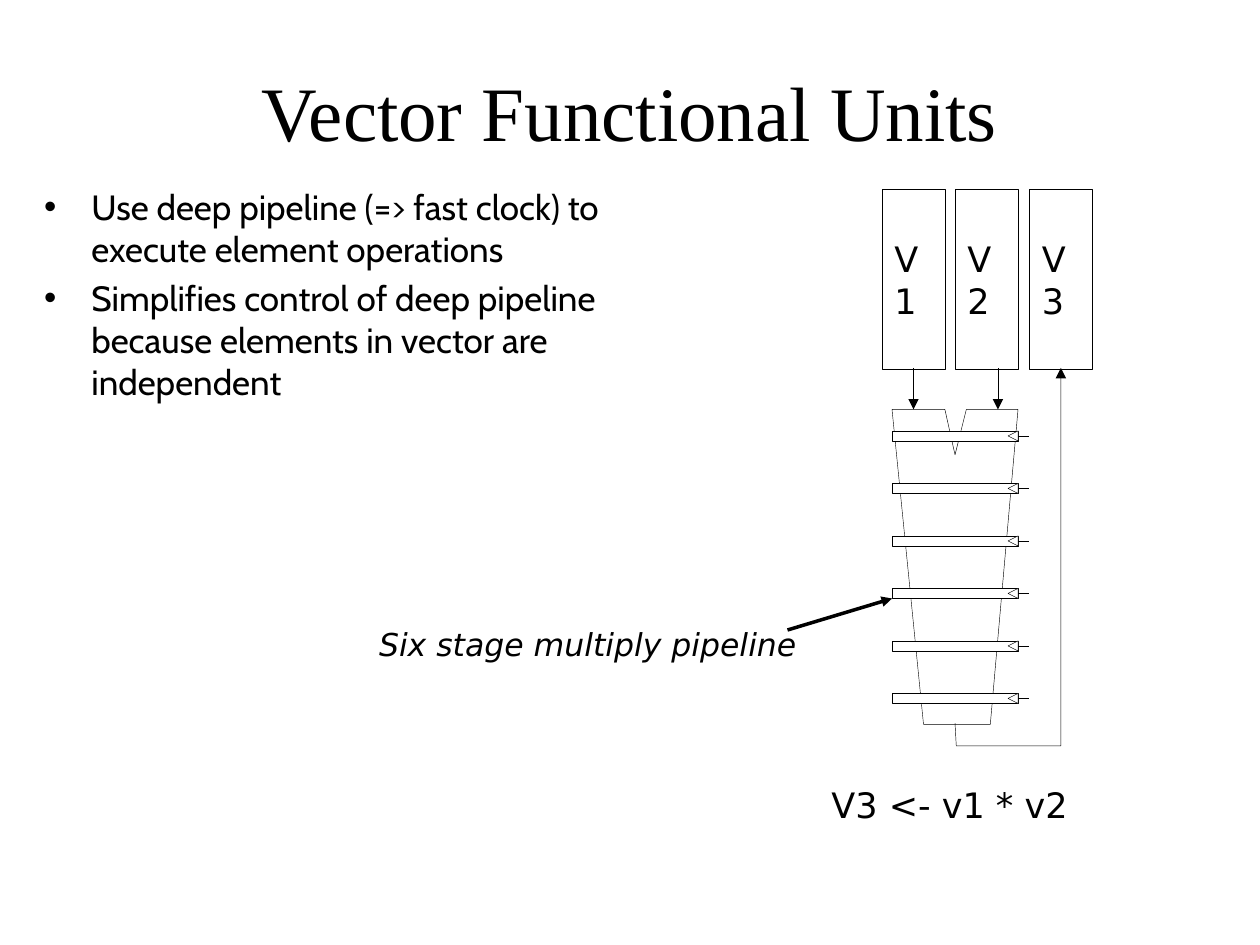
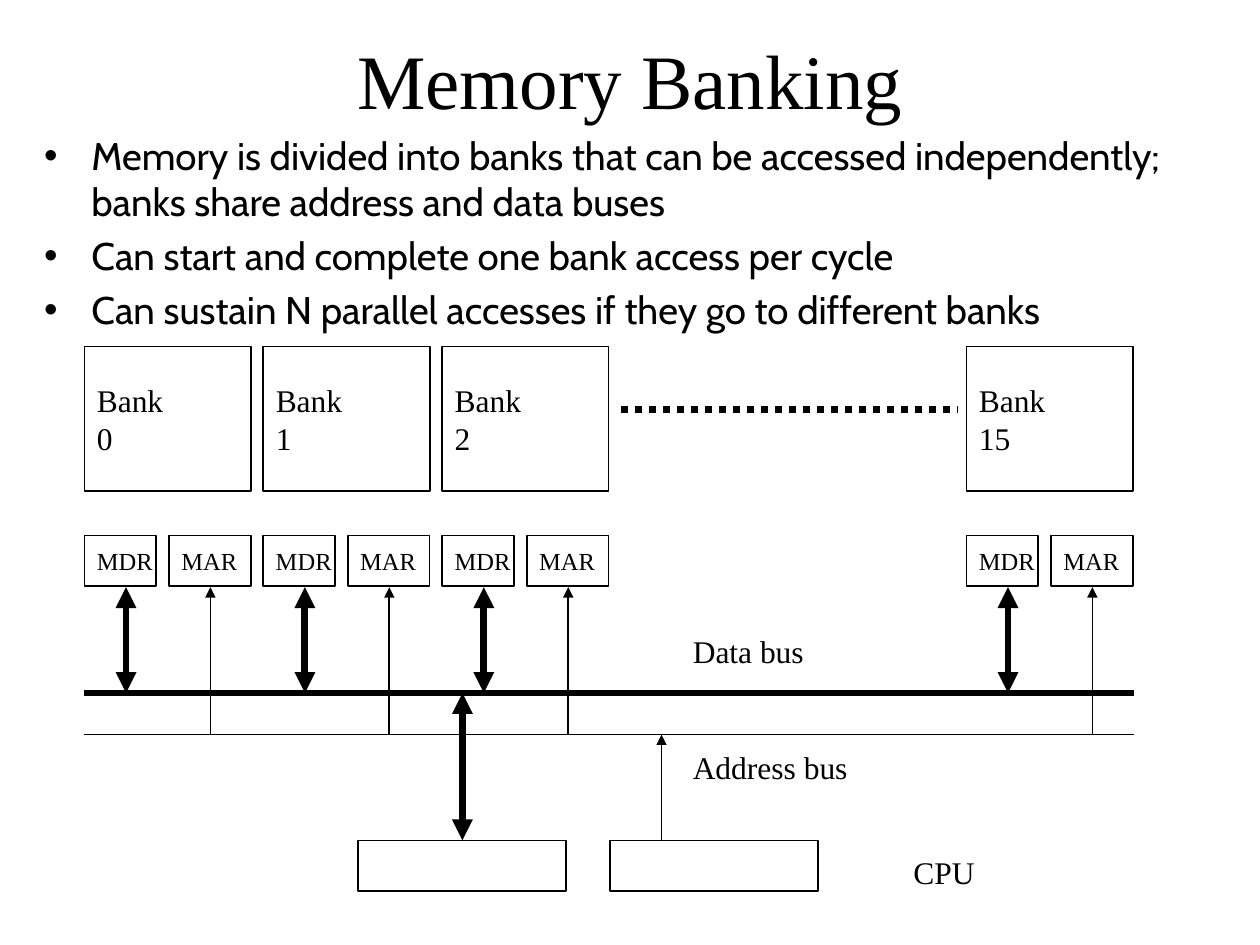
import dataclasses

import lxml.etree
import pptx
import pptx.dml.color
import pptx.enum.dml
import pptx.enum.shapes
import pptx.enum.text
import pptx.oxml.ns
import pptx.util

Inches = pptx.util.Inches
Pt = pptx.util.Pt


@dataclasses.dataclass(frozen=True)
class Theme:
    ink: pptx.dml.color.RGBColor = pptx.dml.color.RGBColor(0, 0, 0)
    paper: pptx.dml.color.RGBColor = pptx.dml.color.RGBColor(255, 255, 255)
    serif: str = "Times New Roman"
    sans: str = "DejaVu Sans"
    body: str = "Cabin"
    title_size: float = 44
    large: float = 20
    label: float = 18
    small: float = 14
    hairline: float = 0.25
    thin: float = 1
    pointer: float = 2
    bus: float = 4


THEME = Theme()


def style_text(frame, font_name, size, italic=None):
    for para in frame.paragraphs:
        para.font.name = font_name
        para.font.size = Pt(size)
        para.font.color.rgb = THEME.ink
        para.font.italic = italic


def place(shape, left, top, width, height):
    shape.left, shape.top = Inches(left), Inches(top)
    shape.width, shape.height = Inches(width), Inches(height)


def add_slide(deck, title, title_top, bullets, bullet_size, bullet_area):
    """Add a slide with its title and its bulleted list."""
    slide = deck.slides.add_slide(deck.slide_layouts[1])
    heading, body = slide.placeholders[0], slide.placeholders[1]
    place(heading, 0.5, title_top, 9, 1.25)
    place(body, *bullet_area)
    heading.text_frame.text = title
    body.text_frame.text = "\n".join(bullets)
    for frame in (heading.text_frame, body.text_frame):
        frame.auto_size = pptx.enum.text.MSO_AUTO_SIZE.NONE
    style_text(heading.text_frame, THEME.serif, THEME.title_size)
    style_text(body.text_frame, THEME.body, bullet_size)
    for index, para in enumerate(body.text_frame.paragraphs):
        para.space_before = Pt(0.2 * bullet_size if index else 0)
    return slide


def outline(shape, weight):
    shape.line.color.rgb = THEME.ink
    shape.line.width = Pt(weight)


def fill_shape(shape, color):
    if color is None:
        shape.fill.background()
    else:
        shape.fill.solid()
        shape.fill.fore_color.rgb = color


def add_arrowheads(shape, head=False, tail=False):
    """Put triangles at the start (head) and the end (tail) of an outline."""
    line = shape.element.spPr.find(pptx.oxml.ns.qn("a:ln"))
    for tag, wanted in (("a:headEnd", head), ("a:tailEnd", tail)):
        if wanted:
            lxml.etree.SubElement(line, pptx.oxml.ns.qn(tag), type="triangle")


def add_box(shapes, left, top, width, height, weight, fill=None):
    box = shapes.add_shape(
        pptx.enum.shapes.MSO_SHAPE.RECTANGLE,
        Inches(left), Inches(top), Inches(width), Inches(height))
    box.shadow.inherit = False
    fill_shape(box, fill)
    outline(box, weight)
    return box


def add_labelled_box(shapes, text, area, weight, font_name, size, wrap=False):
    box = add_box(shapes, *area, weight)
    frame = box.text_frame
    frame.text = text
    frame.word_wrap = wrap
    frame.vertical_anchor = pptx.enum.text.MSO_ANCHOR.MIDDLE
    for para in frame.paragraphs:
        para.alignment = pptx.enum.text.PP_ALIGN.LEFT
    style_text(frame, font_name, size)


def add_label(shapes, text, area, font_name, size, italic=None):
    label = shapes.add_textbox(*(Inches(length) for length in area))
    frame = label.text_frame
    frame.text = text
    frame.word_wrap = False
    frame.auto_size = pptx.enum.text.MSO_AUTO_SIZE.SHAPE_TO_FIT_TEXT
    style_text(frame, font_name, size, italic)


def add_line(shapes, start, end, weight, head=False, tail=False, dash=None):
    line = shapes.add_connector(
        pptx.enum.shapes.MSO_CONNECTOR.STRAIGHT,
        *(Inches(length) for length in (*start, *end)))
    outline(line, weight)
    if dash is not None:
        line.line.dash_style = dash
    add_arrowheads(line, head, tail)
    lxml.etree.SubElement(line.element.spPr, pptx.oxml.ns.qn("a:effectLst"))


def add_outline(shapes, points, fill=None, close=True):
    corners = [(Inches(x), Inches(y)) for x, y in points]
    builder = shapes.build_freeform(*corners[0])
    builder.add_line_segments(corners[1:], close=close)
    shape = builder.convert_to_shape()
    shape.shadow.inherit = False
    fill_shape(shape, fill)
    outline(shape, THEME.hairline)
    return shape


def add_pipeline_register(slide, top):
    """Draw one clocked stage register: bar, clock notch and clock lead."""
    left, right, height = 7.08, 8.08, 0.08
    middle = top + height / 2
    shapes = slide.shapes.add_group_shape().shapes
    add_box(shapes, left, top, right - left, height, THEME.hairline, THEME.paper)
    add_outline(
        shapes,
        [(right, top + height), (right - 0.08, middle), (right, top)],
        THEME.paper)
    add_line(shapes, (right, middle), (right + 0.09, middle), THEME.hairline)


def build_functional_units(deck):
    slide = add_slide(
        deck, "Vector Functional Units", 0.25,
        ["Use deep pipeline (=> fast clock) to execute element operations",
         "Simplifies control of deep pipeline because elements in vector are "
         "independent"],
        THEME.large, (0.25, 1.42, 5.17, 5.68))
    shapes = slide.shapes

    unit_top, unit_height, stages = 3.25, 2.5, 6
    unit_bottom = unit_top + unit_height
    add_outline(shapes, [
        (7.08, unit_top), (7.33, unit_bottom), (7.86, unit_bottom),
        (8.08, unit_top), (7.67, unit_top), (7.58, 3.61), (7.5, unit_top)])
    for stage in range(stages):
        add_pipeline_register(slide, 3.42 + stage * unit_height / stages)

    for x in (7.25, 7.92):
        add_line(shapes, (x, 2.92), (x, unit_top), THEME.hairline, tail=True)
    result = add_outline(
        shapes, [(7.58, 5.74), (7.59, 5.92), (8.42, 5.92), (8.42, 2.92)],
        close=False)
    add_arrowheads(result, tail=True)

    for name, left in (("V1", 7), ("V2", 7.58), ("V3", 8.17)):
        add_labelled_box(shapes, name, (left, 1.5, 0.5, 1.43), THEME.hairline,
                         THEME.sans, THEME.large, wrap=True)
    add_label(shapes, "V3 <- v1 * v2", (6.5, 6.17, 2.17, 0.43),
              THEME.sans, THEME.large)
    add_label(shapes, "Six stage multiply pipeline", (2.91, 4.91, 3.52, 0.4),
              THEME.sans, THEME.label, italic=True)
    add_line(shapes, (6.25, 5), (7.08, 4.75), THEME.pointer, tail=True)


def add_bank(shapes, number, left, data_bus, address_bus):
    """Draw a memory bank, its two registers and their links to the buses."""
    register_top, register_height, link_top = 4.25, 0.4, 4.66
    add_labelled_box(shapes, f"Bank\n{number}", (left, 2.75, 1.32, 1.15),
                     THEME.thin, THEME.serif, THEME.label)
    for name, offset, width in (("MDR", 0, 0.57), ("MAR", 0.67, 0.65)):
        add_labelled_box(
            shapes, name, (left + offset, register_top, width, register_height),
            THEME.thin, THEME.serif, THEME.small)
    data_x, address_x = left + 0.33, left + 1
    add_line(shapes, (data_x, link_top), (data_x, data_bus), THEME.bus,
             head=True, tail=True)
    add_line(shapes, (address_x, link_top), (address_x, address_bus),
             THEME.thin, head=True)


def build_memory_banking(deck):
    slide = add_slide(
        deck, "Memory Banking", 0,
        ["Memory is divided into banks that can be accessed independently; "
         "banks share address and data buses",
         "Can start and complete one bank access per cycle",
         "Can sustain N parallel accesses if they go to different banks"],
        22, (0.25, 1, 9.75, 5.77))
    shapes = slide.shapes

    data_bus, address_bus, cpu_top = 5.5, 5.83, 6.67
    first_left, bank_pitch = 0.67, 1.42
    for number in range(3):
        add_bank(shapes, number, first_left + number * bank_pitch,
                 data_bus, address_bus)
    add_bank(shapes, 15, 7.67, data_bus, address_bus)
    add_line(shapes, (4.93, 3.25), (7.6, 3.25), THEME.bus,
             dash=pptx.enum.dml.MSO_LINE.ROUND_DOT)

    for y, weight in ((data_bus, THEME.bus), (address_bus, THEME.thin)):
        add_line(shapes, (first_left, y), (9, y), weight)
    for text, area in (("Data bus", (5.4, 4.97, 1.08, 0.4)),
                       ("Address bus", (5.4, 5.89, 1.43, 0.4)),
                       ("CPU", (7.15, 6.72, 0.69, 0.4))):
        add_label(shapes, text, area, THEME.serif, THEME.label)

    for left in (2.84, 4.84):
        add_box(shapes, left, cpu_top, 1.65, 0.4, THEME.thin)
    add_line(shapes, (3.67, data_bus), (3.67, cpu_top), THEME.bus,
             head=True, tail=True)
    add_line(shapes, (5.25, address_bus), (5.25, cpu_top), THEME.thin, head=True)


def main():
    deck = pptx.Presentation()
    deck.slide_width, deck.slide_height = Inches(10), Inches(7.5)
    build_functional_units(deck)
    build_memory_banking(deck)
    deck.save("out.pptx")


if __name__ == "__main__":
    main()
